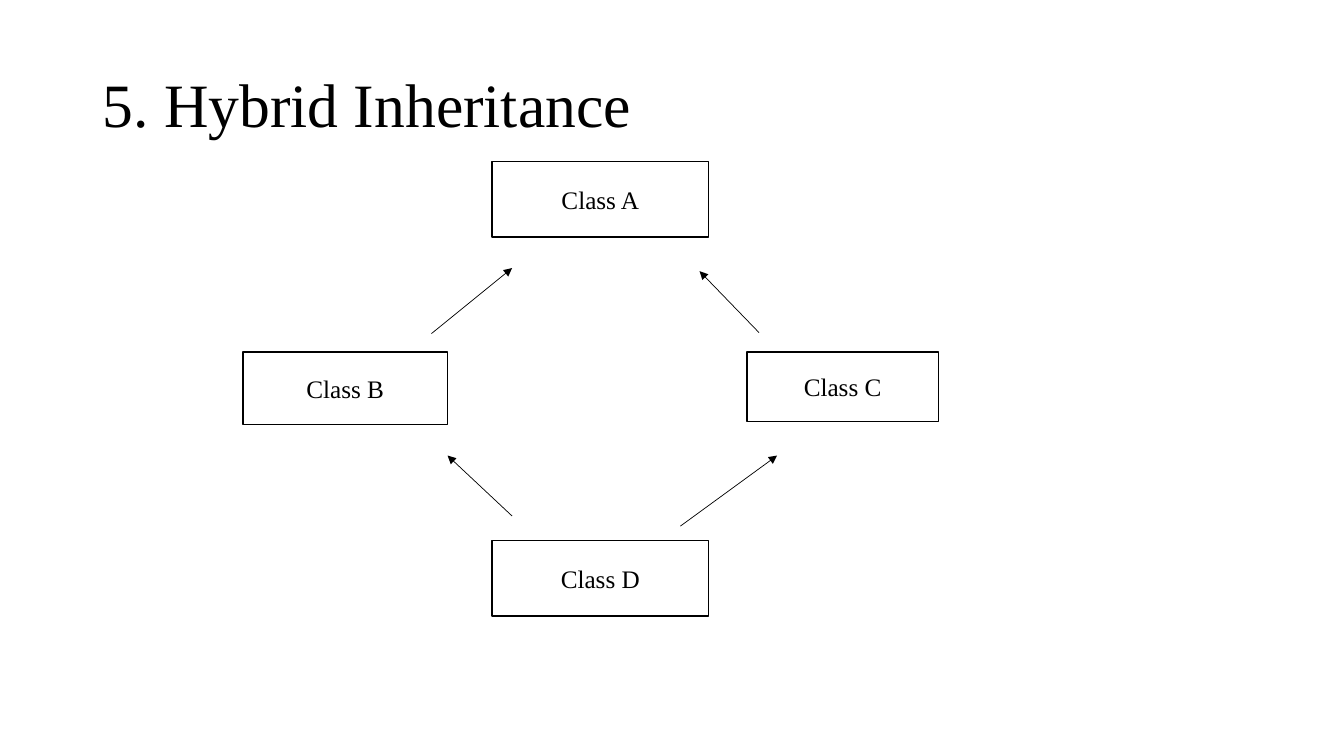
from lxml.etree import SubElement
from pptx import Presentation
from pptx.dml.color import RGBColor
from pptx.enum.shapes import MSO_CONNECTOR as Connector, MSO_SHAPE as Shape
from pptx.enum.text import MSO_ANCHOR as Anchor, PP_ALIGN as Align
from pptx.oxml.ns import qn
from pptx.util import Pt

FONT = "Times New Roman"
BLACK = "000000"
WHITE = "FFFFFF"

# left, top, width, height in points
CLASSES = {
    "Class A": (351.4, 115.2, 154.8, 54),
    "Class B": (173.5, 251.3, 146.2, 51.8),
    "Class C": (533.5, 251.3, 136.8, 49.7),
    "Class D": (351.4, 385.9, 154.8, 54),
}
# start x, start y, end x, end y in points; each arrow points at the parent class
ARROWS = [
    (308.2, 238.3, 365.8, 191.5),
    (542.2, 237.6, 499.7, 193.7),
    (365.8, 368.6, 319.7, 325.4),
    (486, 375.8, 555.1, 325.4),
]


def color(code):
    return RGBColor.from_string(code)


def points(values):
    return [Pt(value) for value in values]


def write(shape, text, size, align):
    frame = shape.text_frame
    frame.word_wrap = True
    frame.vertical_anchor = Anchor.MIDDLE
    para = frame.paragraphs[0]
    para.alignment = align
    span = para.add_run()
    span.text = text
    span.font.name = FONT
    span.font.size = Pt(size)
    span.font.color.rgb = color(BLACK)
    return para


def add_title(page, text):
    box = page.shapes.add_textbox(*points((66.2, 28.8, 828, 95.8)))
    write(box, text, 44, Align.LEFT).line_spacing = 0.9


def add_class_box(page, name, bounds):
    box = page.shapes.add_shape(Shape.RECTANGLE, *points(bounds))
    box.shadow.inherit = False
    box.fill.solid()
    box.fill.fore_color.rgb = color(WHITE)
    box.line.color.rgb = color(BLACK)
    box.line.width = Pt(1)
    write(box, name, 18, Align.CENTER)


def add_arrow(page, ends):
    arrow = page.shapes.add_connector(Connector.STRAIGHT, *points(ends))
    arrow.line.color.rgb = color(BLACK)
    arrow.line.width = Pt(0.5)
    SubElement(arrow.line._get_or_add_ln(), qn("a:tailEnd"), type="triangle")
    SubElement(arrow._element.spPr, qn("a:effectLst"))


def main():
    deck = Presentation()
    deck.slide_width, deck.slide_height = Pt(960), Pt(540)
    page = deck.slides.add_slide(deck.slide_layouts[6])
    add_title(page, "5. Hybrid Inheritance")
    for name, bounds in CLASSES.items():
        add_class_box(page, name, bounds)
    for ends in ARROWS:
        add_arrow(page, ends)
    deck.save("out.pptx")


if __name__ == "__main__":
    main()
